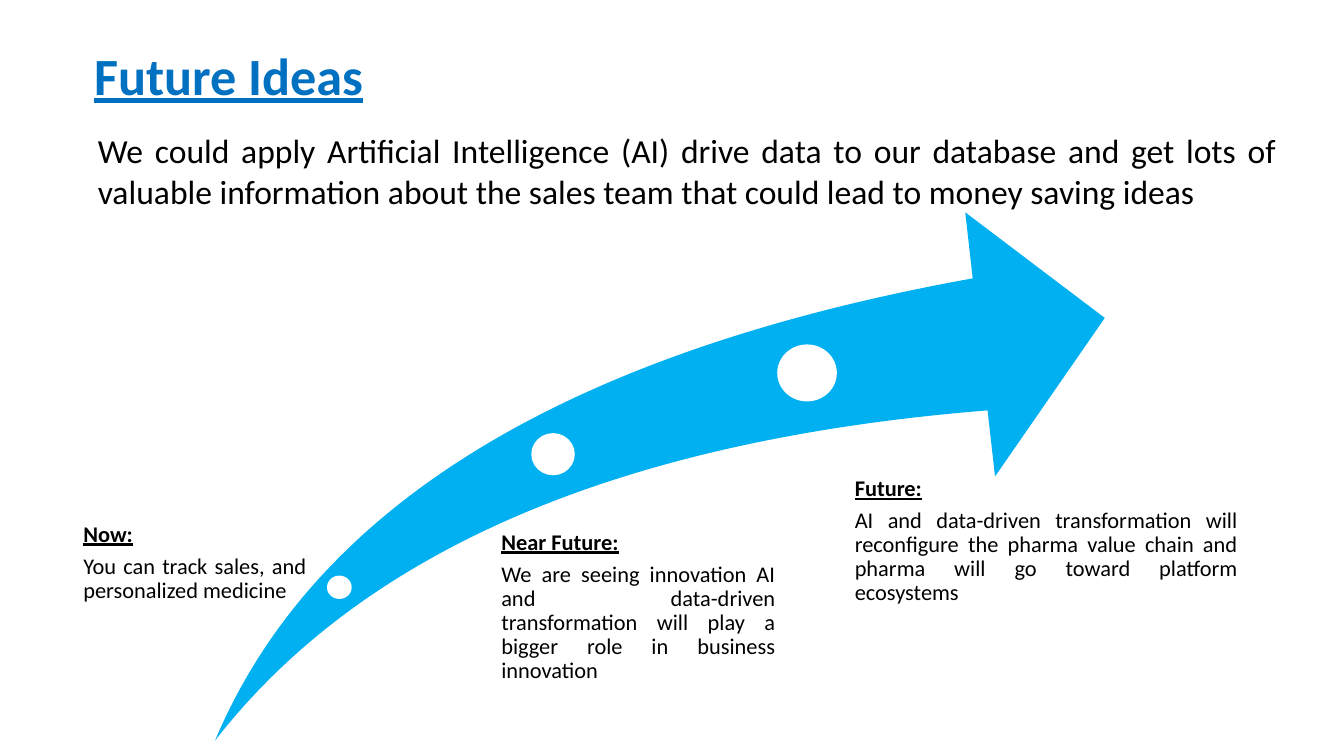
from typing import NamedTuple

from pptx import Presentation
from pptx.dml.color import RGBColor
from pptx.enum.shapes import MSO_SHAPE
from pptx.enum.text import MSO_ANCHOR, MSO_AUTO_SIZE, PP_ALIGN
from pptx.util import Inches, Pt

WIDTH, HEIGHT = Inches(10), Inches(5.625)
TITLE_BLUE = RGBColor(0x00, 0x70, 0xC0)
ARROW_BLUE = RGBColor(0x00, 0xB0, 0xF0)
WHITE = RGBColor(0xFF, 0xFF, 0xFF)
BLACK = RGBColor(0x00, 0x00, 0x00)

TITLE_FONT = {"name": "Calibri", "size": Pt(28), "bold": True, "underline": True}
INTRO_FONT = {"name": "Calibri", "size": Pt(18)}
BODY_FONT = {"name": "Calibri", "size": Pt(12), "bold": False, "underline": False}
HEADING_FONT = {**BODY_FONT, "bold": True, "underline": True}
LABEL_SPACING = {"line_spacing": 0.9, "space_after": Pt(4.2)}


class Area(NamedTuple):
    """A rectangle in percent of the slide's width and height."""
    left: float
    top: float
    width: float
    height: float

    def lengths(self) -> tuple[int, ...]:
        sides = (WIDTH, HEIGHT, WIDTH, HEIGHT)
        return tuple(round(side * share / 100) for side, share in zip(sides, self))


class Stage(NamedTuple):
    heading: str
    body: str
    dot: Area
    label: Area
    inset: float


TITLE_AREA = Area(6, 4.8, 25.4, 10.13)
INTRO_AREA = Area(6.3, 16.36, 89.7, 10.13)
ARROW_AREA = Area(16, 28.09, 66.2, 69.87)
INTRO = (
    "We could apply Artificial Intelligence (AI) drive data to our database and get "
    "lots of valuable information about the sales team that could lead to money saving ideas"
)
STAGES = [
    Stage("Now:", "You can track sales, and personalized medicine",
          Area(24.4, 76.27, 1.7, 2.84), Area(5.3, 69.16, 17.5, 20.27), 0.09),
    Stage("Near Future:",
          "We are seeing innovation AI and data-driven transformation will play "
          "a bigger role in business innovation",
          Area(39.6, 57.42, 3.1, 5.33), Area(35.6, 70.22, 22.1, 20.27), 0.17),
    Stage("Future:",
          "AI and data-driven transformation will reconfigure the pharma value chain "
          "and pharma will go toward platform ecosystems",
          Area(57.9, 45.69, 4.3, 7.29), Area(61.3, 63.11, 30.8, 29.51), 0.23),
]


def apply(target, values: dict) -> None:
    for name, value in values.items():
        setattr(target, name, value)


def write(para, text: str, font: dict, color: RGBColor, align=PP_ALIGN.JUSTIFY) -> None:
    para.alignment = align
    span = para.add_run()
    span.text = text
    apply(span.font, font)
    span.font.color.rgb = color


def add_title(slide) -> None:
    title = slide.shapes.title
    apply(title, dict(zip(("left", "top", "width", "height"), TITLE_AREA.lengths())))
    frame = title.text_frame
    apply(frame, {"auto_size": MSO_AUTO_SIZE.NONE, "vertical_anchor": MSO_ANCHOR.TOP})
    write(frame.paragraphs[0], "Future Ideas", TITLE_FONT, TITLE_BLUE, PP_ALIGN.LEFT)


def add_text_frame(slide, area: Area):
    frame = slide.shapes.add_textbox(*area.lengths()).text_frame
    frame.word_wrap = True
    return frame


def add_filled_shape(slide, kind: MSO_SHAPE, area: Area, color: RGBColor):
    shape = slide.shapes.add_shape(kind, *area.lengths())
    shape.shadow.inherit = False
    shape.fill.solid()
    shape.fill.fore_color.rgb = color
    shape.line.fill.background()
    return shape


def add_arrow(slide) -> None:
    arrow = add_filled_shape(slide, MSO_SHAPE.SWOOSH_ARROW, ARROW_AREA, ARROW_BLUE)
    for index in range(2):
        arrow.adjustments[index] = 0.25


def add_stage(slide, stage: Stage) -> None:
    dot = add_filled_shape(slide, MSO_SHAPE.OVAL, stage.dot, WHITE)
    dot.line.color.rgb = WHITE
    dot.line.width = Pt(1)
    frame = add_text_frame(slide, stage.label)
    apply(frame, {"margin_left": Inches(stage.inset), "margin_top": 0,
                  "margin_right": 0, "margin_bottom": 0})
    write(frame.paragraphs[0], stage.heading, HEADING_FONT, BLACK)
    write(frame.add_paragraph(), stage.body, BODY_FONT, BLACK)
    for para in frame.paragraphs:
        apply(para, LABEL_SPACING)


def main() -> None:
    deck = Presentation()
    apply(deck, {"slide_width": WIDTH, "slide_height": HEIGHT})
    slide = deck.slides.add_slide(deck.slide_layouts.get_by_name("Title Only"))
    add_title(slide)
    intro = add_text_frame(slide, INTRO_AREA)
    write(intro.paragraphs[0], INTRO, INTRO_FONT, BLACK)
    add_arrow(slide)
    for stage in STAGES:
        add_stage(slide, stage)
    deck.save("out.pptx")


if __name__ == "__main__":
    main()
